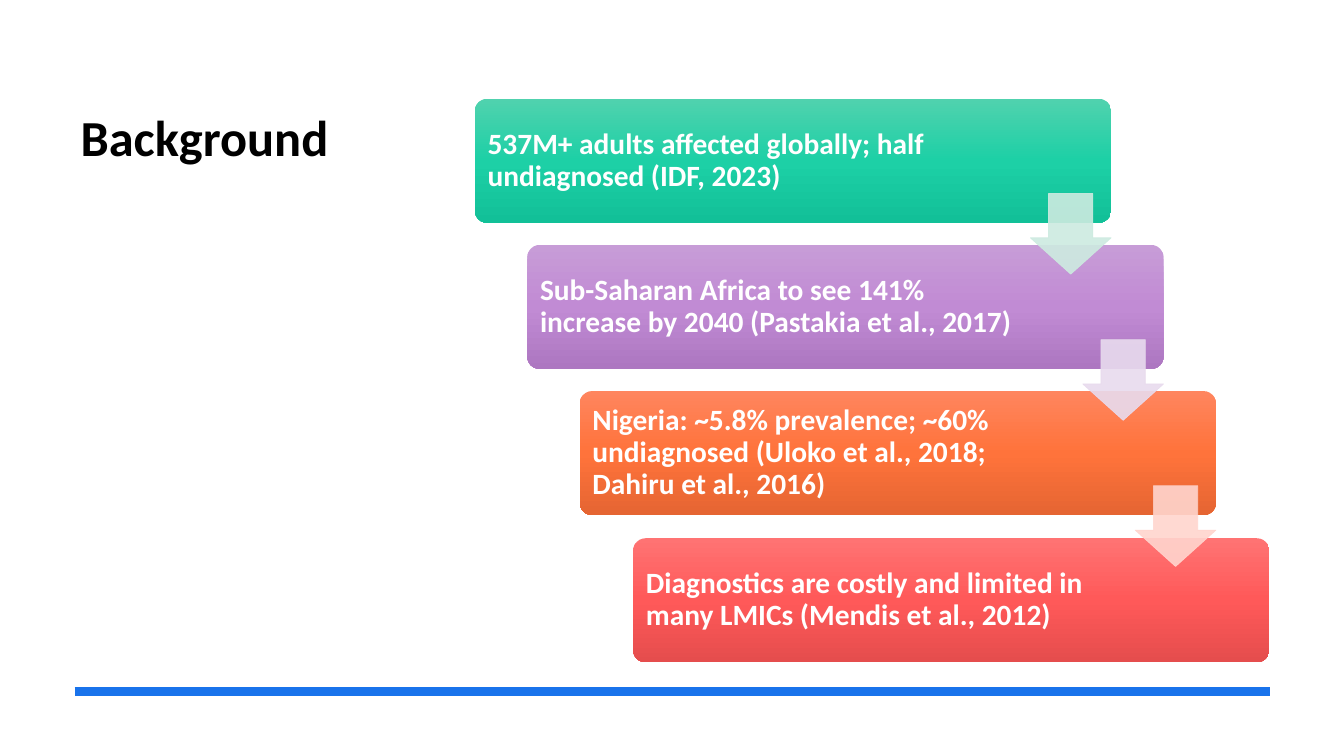
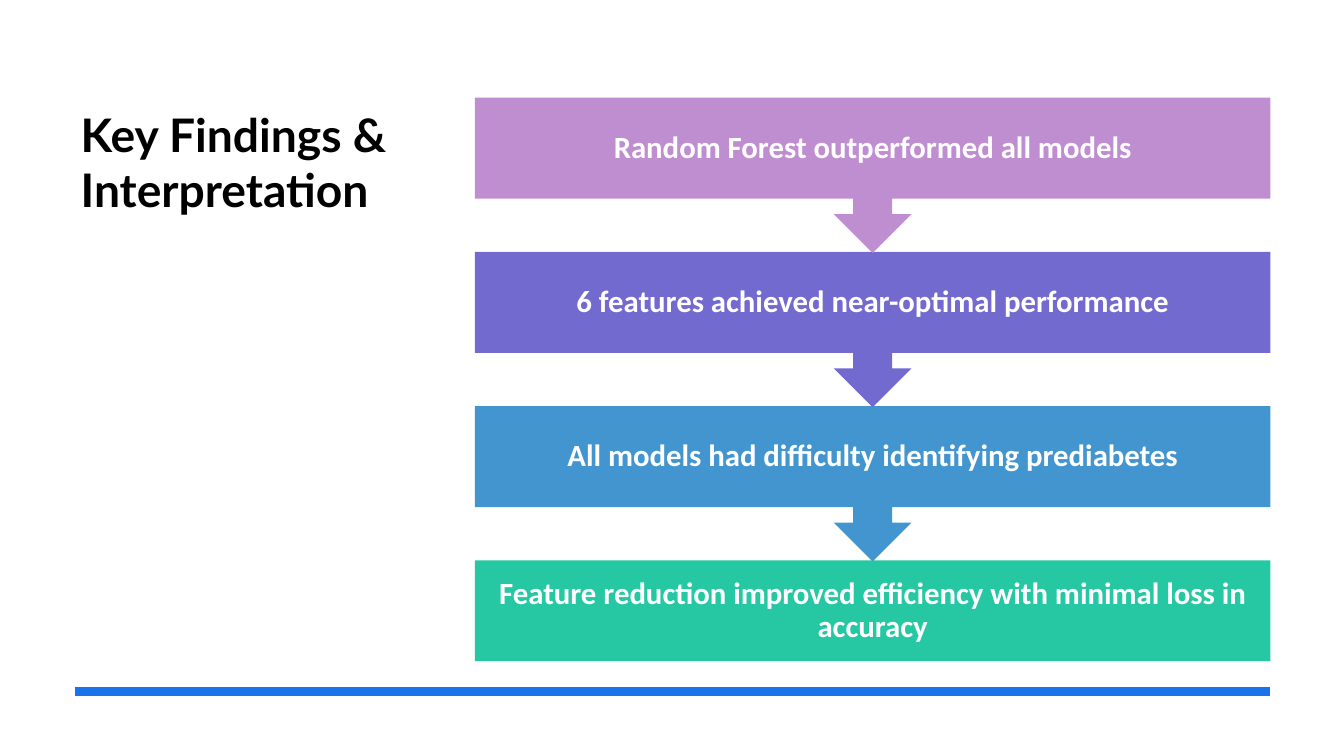
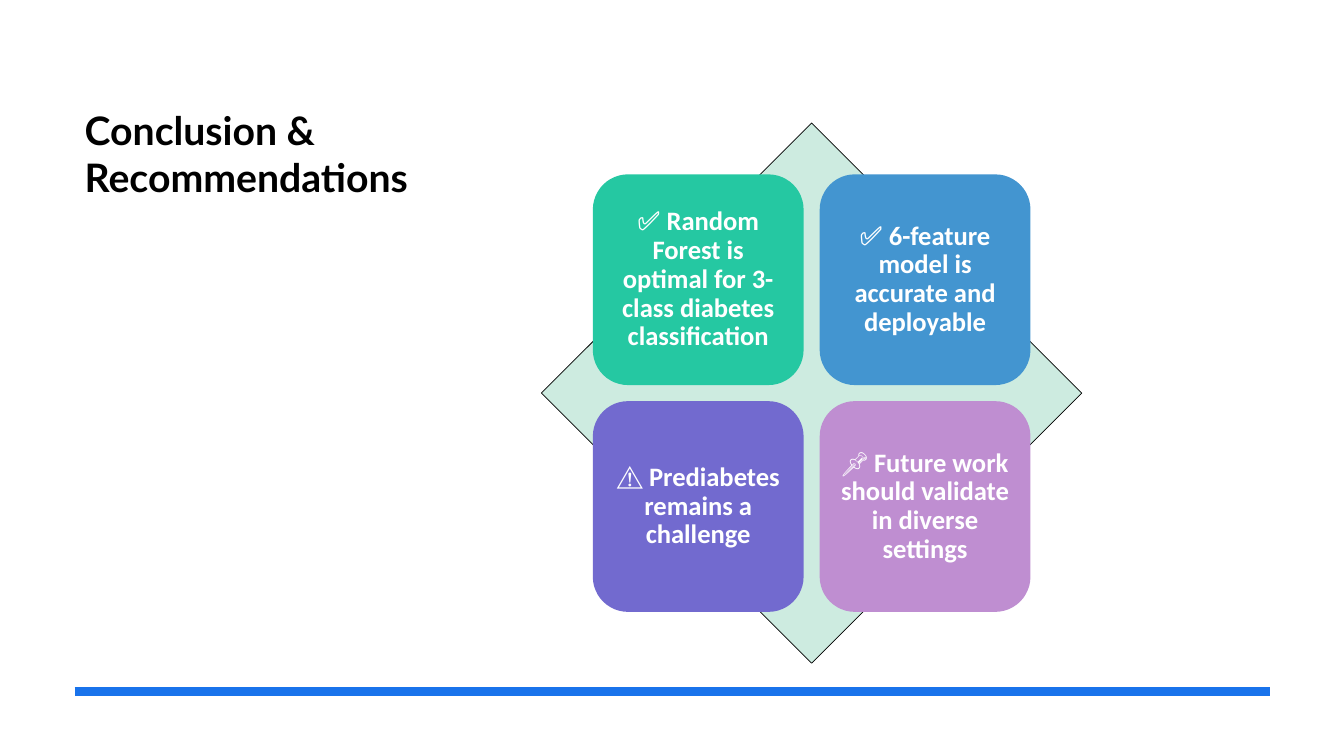
import copy
import lxml.etree
import pptx
import pptx.util
import pptx.dml.color
import pptx.enum.shapes
import pptx.enum.text
import pptx.oxml.ns

Pt = pptx.util.Pt
KIND = pptx.enum.shapes.MSO_SHAPE
ALIGN = pptx.enum.text.PP_ALIGN
ANCHOR = pptx.enum.text.MSO_ANCHOR
qn = pptx.oxml.ns.qn

# Shared palette and sizes (100 px to the inch)
PX = 9144
BLACK, WHITE, BLUE = "000000", "FFFFFF", "1973EB"
TEAL, SKY, PLUM, LILAC, MINT = "25C8A2", "4395D0", "726ACF", "BF8ED1", "CDEBE0"
RULE = (74, 686, 1260)

# Content: text, gradient stops, colour of the arrow that follows
FACTS = [
    ("537M+ adults affected globally; half undiagnosed (IDF, 2023)",
     ("50D2AE", "1DD0A6", "12C098"), MINT),
    ("Sub-Saharan Africa to see 141% increase by 2040 (Pastakia et al., 2017)",
     ("C79CD7", "C18BD4", "AD77C1"), "E8DBEE"),
    ("Nigeria: ~5.8% prevalence; ~60% undiagnosed (Uloko et al., 2018; Dahiru et al., 2016)",
     ("FF855E", "FF733B", "E56532"), "FFD5CE"),
    ("Diagnostics are costly and limited in many LMICs (Mendis et al., 2012)",
     ("FF7373", "FF5959", "E54D4D"), None),
]
FINDS = [
    ("Random Forest outperformed all models", LILAC),
    ("6 features achieved near-optimal performance", PLUM),
    ("All models had difficulty identifying prediabetes", SKY),
    ("Feature reduction improved efficiency with minimal loss in accuracy", TEAL),
]
TILES = [
    ("✅ Random Forest is optimal for 3-class diabetes classification", TEAL),
    ("✅ 6-feature model is accurate and deployable", SKY),
    ("⚠️ Prediabetes remains a challenge", PLUM),
    ("📌 Future work should validate in diverse settings", LILAC),
]


def px(n):
    return pptx.util.Emu(n * PX)


def rgb(code):
    return pptx.dml.color.RGBColor.from_string(code)


def write(shape, words, size=21, face="Calibri", color=WHITE, align=ALIGN.LEFT,
          anchor=ANCHOR.MIDDLE, space=0.9, pad=(9, 9, 9, 9)):
    """Put bold text in a shape; pad is left, top, right, bottom."""
    frame = shape.text_frame
    frame.word_wrap = True
    frame.auto_size = pptx.enum.text.MSO_AUTO_SIZE.NONE
    frame.vertical_anchor = anchor
    (frame.margin_left, frame.margin_top,
     frame.margin_right, frame.margin_bottom) = map(px, pad)
    para = frame.paragraphs[0]
    para.alignment, para.line_spacing = align, space
    run = para.add_run()
    run.text = words
    font = run.font
    font.size, font.name, font.bold = Pt(size), face, True
    font.color.rgb = rgb(color)


def draw(slide, kind, box, fill, line=None, adj=()):
    """Add a shape; fill is one colour or a tuple of gradient stops."""
    shape = slide.shapes.add_shape(kind, *map(px, box))
    shape.shadow.inherit = False
    for i, value in enumerate(adj):
        shape.adjustments[i] = value
    if isinstance(fill, tuple):
        shade(shape, fill)
    else:
        shape.fill.solid()
        shape.fill.fore_color.rgb = rgb(fill)
    if line:
        shape.line.color.rgb = rgb(line)
        shape.line.width = Pt(0.5)
    else:
        shape.line.fill.background()
    return shape


def shade(shape, codes):
    """Fill from top to bottom with evenly spaced stops."""
    shape.fill.gradient()
    shape.fill.gradient_angle = 270
    stops = shape._element.spPr.find(".//" + qn("a:gsLst"))
    while len(stops) < len(codes):
        stops.append(copy.deepcopy(stops[-1]))
    for i, stop in enumerate(shape.fill.gradient_stops):
        stop.color.rgb = rgb(codes[i])
        stop.position = i / (len(codes) - 1)


def fade(shape, alpha):
    """Make fill and line partly clear."""
    for node in shape._element.spPr.findall(".//" + qn("a:srgbClr")):
        lxml.etree.SubElement(node, qn("a:alpha"), val=str(alpha * 1000))


def start(deck, words, size, face="Lato", left=70, width=328):
    """New slide with the shared title style and bottom rule."""
    slide = deck.slides.add_slide(deck.slide_layouts[5])
    title = slide.shapes.title
    title.left, title.top, title.width, title.height = map(px, (left, 100, width, 455))
    write(title, words, size=size, face=face, color=BLACK, anchor=ANCHOR.TOP,
          space=1.0, pad=(10, 5, 10, 5))
    x, y, end = RULE
    rule = slide.shapes.add_connector(pptx.enum.shapes.MSO_CONNECTOR.STRAIGHT,
                                      px(x), px(y), px(end), px(y))
    rule.line.color.rgb = rgb(BLUE)
    rule.line.width = Pt(6)
    lxml.etree.SubElement(rule._element.spPr, qn("a:effectLst"))
    return slide


def stairs(deck):
    slide = start(deck, "Background", 36, face="Calibri")
    last = len(FACTS) - 1
    spots = [(471 + 157 * i // last, 98 + 436 * i // last) for i in range(last + 1)]
    for (words, stops, _), (x, y) in zip(FACTS, spots):
        step = draw(slide, KIND.ROUNDED_RECTANGLE, (x, y, 631, 123), stops, adj=(0.1,))
        write(step, words, pad=(9, 9, 143, 9))
    # Arrows lie over the steps
    for (_, _, tint), (x, y) in zip(FACTS[:last], spots):
        arrow = draw(slide, KIND.DOWN_ARROW, (x + 551, y + 94, 80, 80), tint,
                     line=tint, adj=(0.55, 0.45))
        fade(arrow, 90)


def flow(deck):
    slide = start(deck, "Key Findings & Interpretation", 33)
    last = len(FINDS) - 1
    # Bottom first, so each arrow tip lies over the next bar
    for i in range(last, -1, -1):
        words, color = FINDS[i]
        kind, high = ((KIND.RECTANGLE, 100) if i == last
                      else (KIND.DOWN_ARROW_CALLOUT, 154))
        bar = draw(slide, kind, (471, 97 + 153 * i, 789, high), color)
        write(bar, words, size=22, align=ALIGN.CENTER, pad=(17, 17, 17, 17))


def matrix(deck):
    slide = start(deck, "Conclusion & Recommendations", 28, left=74, width=402)
    draw(slide, KIND.DIAMOND, (537, 122, 536, 536), MINT, line=BLACK)
    for i, (words, color) in enumerate(TILES):
        row, col = divmod(i, 2)
        tile = draw(slide, KIND.ROUNDED_RECTANGLE,
                    (588 + 225 * col, 173 + 225 * row, 209, 209), color)
        write(tile, words, size=19, align=ALIGN.CENTER, pad=(8, 8, 8, 8))


def main():
    deck = pptx.Presentation()
    deck.slide_width, deck.slide_height = px(1333), px(750)
    for build in (stairs, flow, matrix):
        build(deck)
    deck.save("out.pptx")


if __name__ == "__main__":
    main()
